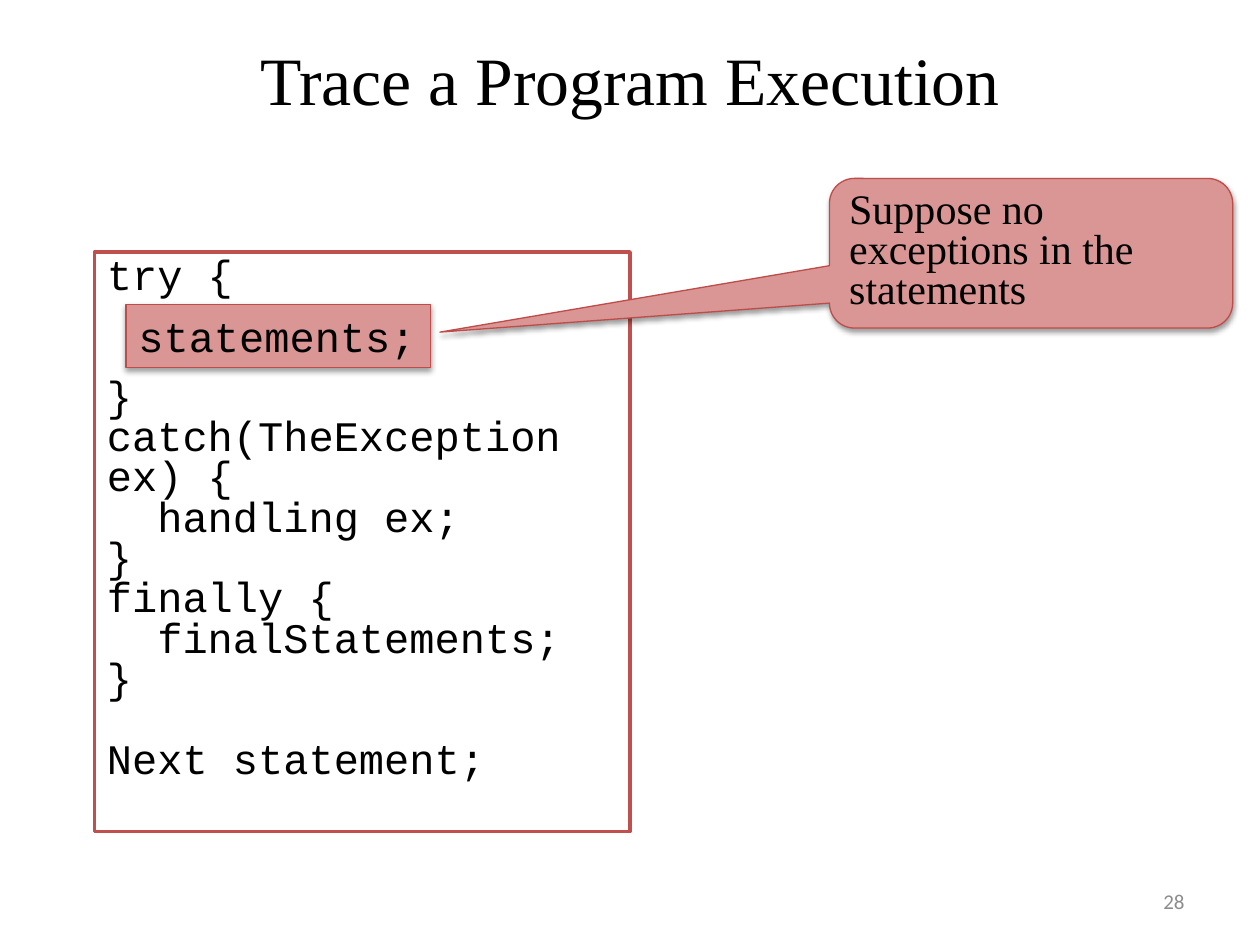
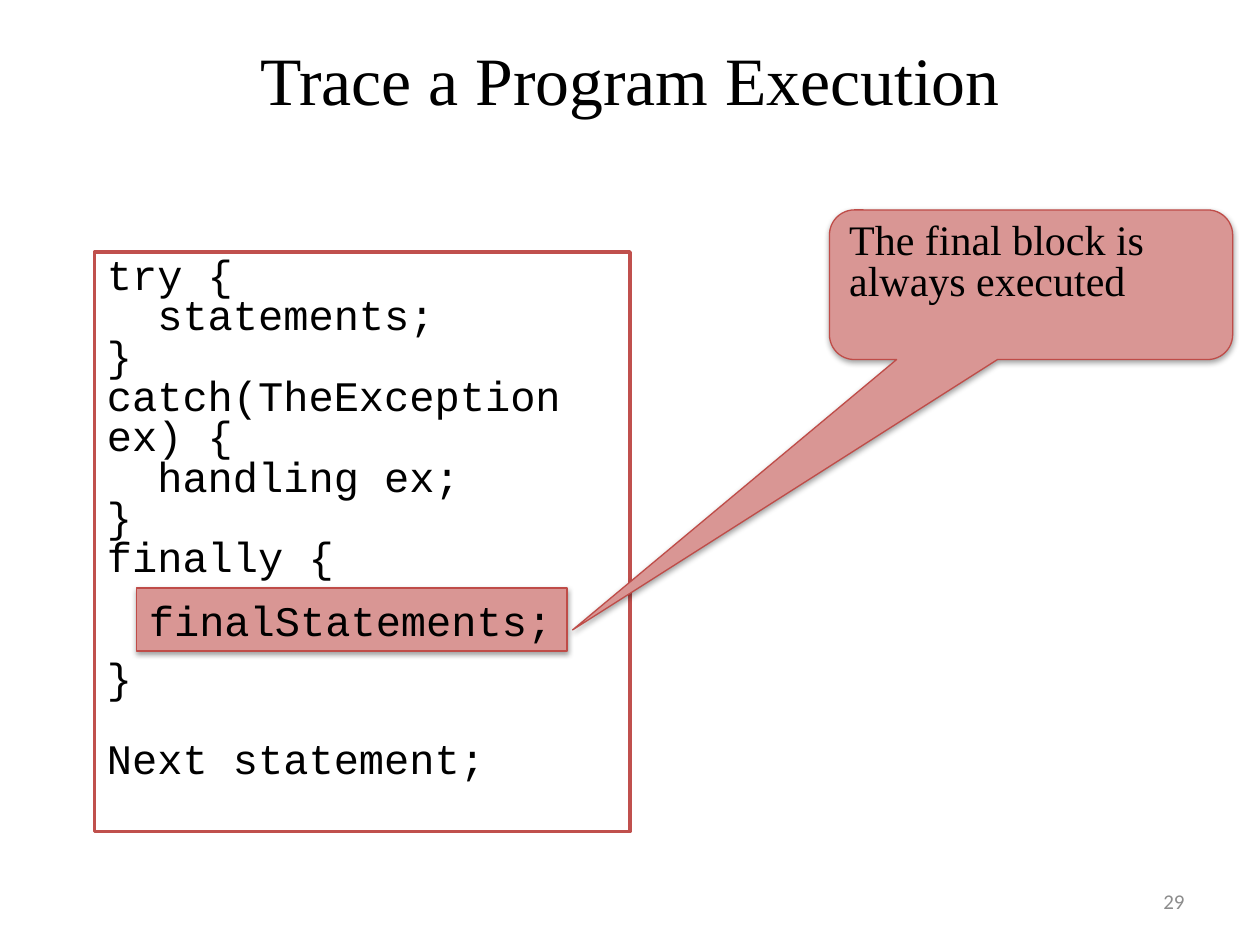
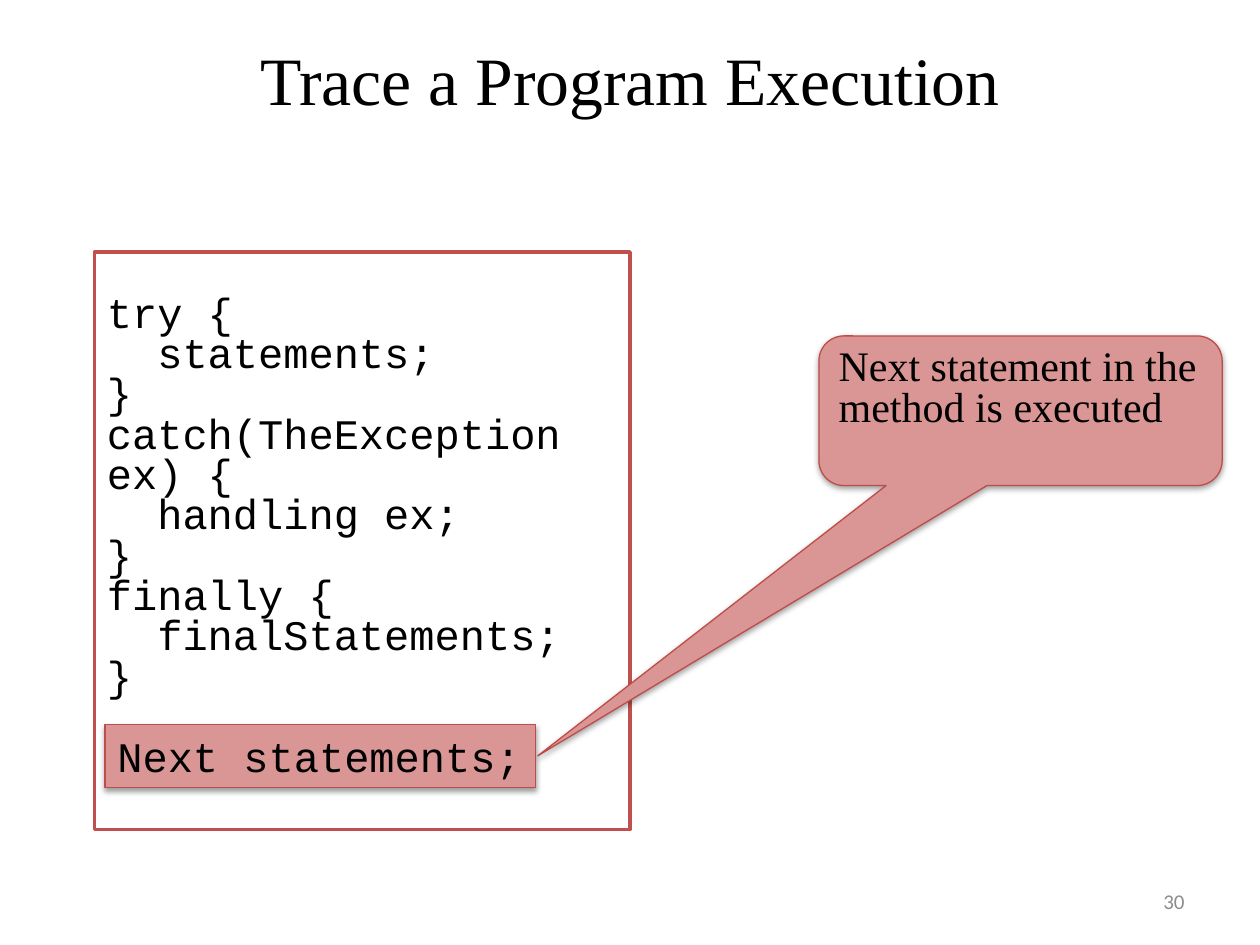
from lxml import etree
from pptx import Presentation
from pptx.dml.color import RGBColor
from pptx.enum.shapes import MSO_SHAPE
from pptx.enum.text import MSO_ANCHOR, PP_ALIGN
from pptx.oxml.ns import qn
from pptx.util import Inches, Pt

RECT = MSO_SHAPE.RECTANGLE
CALLOUT = MSO_SHAPE.ROUNDED_RECTANGULAR_CALLOUT
TOP, MIDDLE = MSO_ANCHOR.TOP, MSO_ANCHOR.MIDDLE
LEFT, CENTER, RIGHT = PP_ALIGN.LEFT, PP_ALIGN.CENTER, PP_ALIGN.RIGHT

COLORS = {"ink": "000000", "paper": "FFFFFF", "frame": "C0504D",
          "accent": "D99694", "edge": "BF4C48", "muted": "8C8C8C"}
SERIF, MONO, SANS = "Times New Roman", "Courier New", "Calibri"
CELL = Inches(1 / 12)
TIGHT = 0.8
CODE_LINE = 23
CALLOUT_SIZE = (38.4, 14.25)

TRY = ["try {", "  statements;", "}"]
CATCH = ["catch(TheException ex) {", "  handling ex;", "}"]
FINALLY = ["finally {", "  finalStatements;", "}"]
NEXT = ["", "Next statement;"]

STEPS = [
    {"code": ["try {", "", "", "}"] + CATCH + FINALLY + NEXT,
     "frame_rows": 55.2, "skip": 0,
     "note": "Suppose no exceptions in the statements",
     "note_at": (79, 17), "tip": (41.9, 31.64),
     "current": "statements;", "current_at": (12, 29, 29, 6)},
    {"code": TRY + CATCH + ["finally {", "", "", "}"] + NEXT,
     "frame_rows": 55.2, "skip": 0,
     "note": "The final block is always executed",
     "note_at": (79, 20), "tip": (54.54, 60),
     "current": "finalStatements;", "current_at": (13, 56, 41, 6)},
    {"code": TRY + CATCH + FINALLY,
     "frame_rows": 55, "skip": 0.3,
     "note": "Next statement in the method is executed",
     "note_at": (78, 32), "tip": (51.22, 72),
     "current": "Next statements;", "current_at": (10, 69, 41, 6)},
]


def color(name):
    """Look up a colour of the deck."""
    return RGBColor.from_string(COLORS[name])


def write(frame, lines, font=SERIF, size=24, ink="ink", align=LEFT,
          anchor=TOP, spacing=None, line_gap=CODE_LINE):
    """Fill a text frame, turning empty lines into space before the next one."""
    frame.word_wrap = True
    frame.vertical_anchor = anchor
    paragraph, gap = frame.paragraphs[0], 0
    for index, line in enumerate(lines):
        if not line:
            gap += line_gap
            continue
        if index:
            paragraph = frame.add_paragraph()
        paragraph.alignment = align
        if spacing:
            paragraph.line_spacing = spacing
        if gap:
            paragraph.space_before = Pt(gap)
        gap = 0
        run = paragraph.add_run()
        run.text = line
        run.font.name, run.font.size = font, Pt(size)
        run.font.color.rgb = color(ink)


class Deck:
    """Hold the presentation, its style and the current slide."""

    def __init__(self):
        """Start an empty deck on a grid of 120 columns and 90 rows."""
        self.presentation = Presentation()
        self.presentation.slide_width = 120 * CELL
        self.presentation.slide_height = 90 * CELL
        self.slide = None

    def cells(self, *counts):
        """Convert grid counts to lengths."""
        return [round(count * CELL) for count in counts]

    def text(self, box, content, **style):
        """Add a line of free text."""
        label = self.slide.shapes.add_textbox(*self.cells(*box))
        write(label.text_frame, [content], anchor=MIDDLE, **style)

    def page(self, number):
        """Start a slide with the shared title and its number."""
        self.slide = self.presentation.slides.add_slide(
            self.presentation.slide_layouts[6])
        self.text((9, 4, 102, 7), "Trace a Program Execution",
                  size=38.7, align=CENTER)
        self.text((86, 83.4, 28, 4.8), str(number), font=SANS, size=12,
                  ink="muted", align=RIGHT)

    def panel(self, kind, box, fill, edge, weight):
        """Add a filled and outlined shape without shadow."""
        panel = self.slide.shapes.add_shape(kind, *self.cells(*box))
        panel.fill.solid()
        panel.fill.fore_color.rgb = color(fill)
        panel.line.color.rgb = color(edge)
        panel.line.width = Pt(weight)
        panel.shadow.inherit = False
        return panel

    def raised(self, kind, box):
        """Add an accent shape with a soft shadow below."""
        panel = self.panel(kind, box, "accent", "edge", 0.75)
        effects = panel._element.spPr.find(qn("a:effectLst"))
        shadow = etree.SubElement(effects, qn("a:outerShdw"), blurRad="40000",
                                  dist="20000", dir="5400000", rotWithShape="0")
        tint = etree.SubElement(shadow, qn("a:srgbClr"), val=COLORS["ink"])
        etree.SubElement(tint, qn("a:alpha"), val="38000")
        return panel

    def code(self, lines, rows, skip):
        """Add the framed program listing."""
        listing = self.panel(RECT, (9, 24, 51, rows), "paper", "frame", 2)
        listing.text_frame.margin_top = Inches(0.05 + skip)
        write(listing.text_frame, lines, font=MONO, spacing=TIGHT)

    def callout(self, corner, tip, content):
        """Add a remark whose tail ends at the tip."""
        note = self.raised(CALLOUT, corner + CALLOUT_SIZE)
        for axis in range(2):
            extent = CALLOUT_SIZE[axis]
            note.adjustments[axis] = (tip[axis] - corner[axis]) / extent - 0.5
        write(note.text_frame, [content], spacing=TIGHT)

    def highlight(self, box, content):
        """Add the statement being executed."""
        write(self.raised(RECT, box).text_frame, [content], font=MONO)


def main():
    """Build the three steps of the trace."""
    deck = Deck()
    for number, step in enumerate(STEPS, start=28):
        deck.page(number)
        deck.code(step["code"], step["frame_rows"], step["skip"])
        deck.callout(step["note_at"], step["tip"], step["note"])
        deck.highlight(step["current_at"], step["current"])
    deck.presentation.save("out.pptx")


if __name__ == "__main__":
    main()
